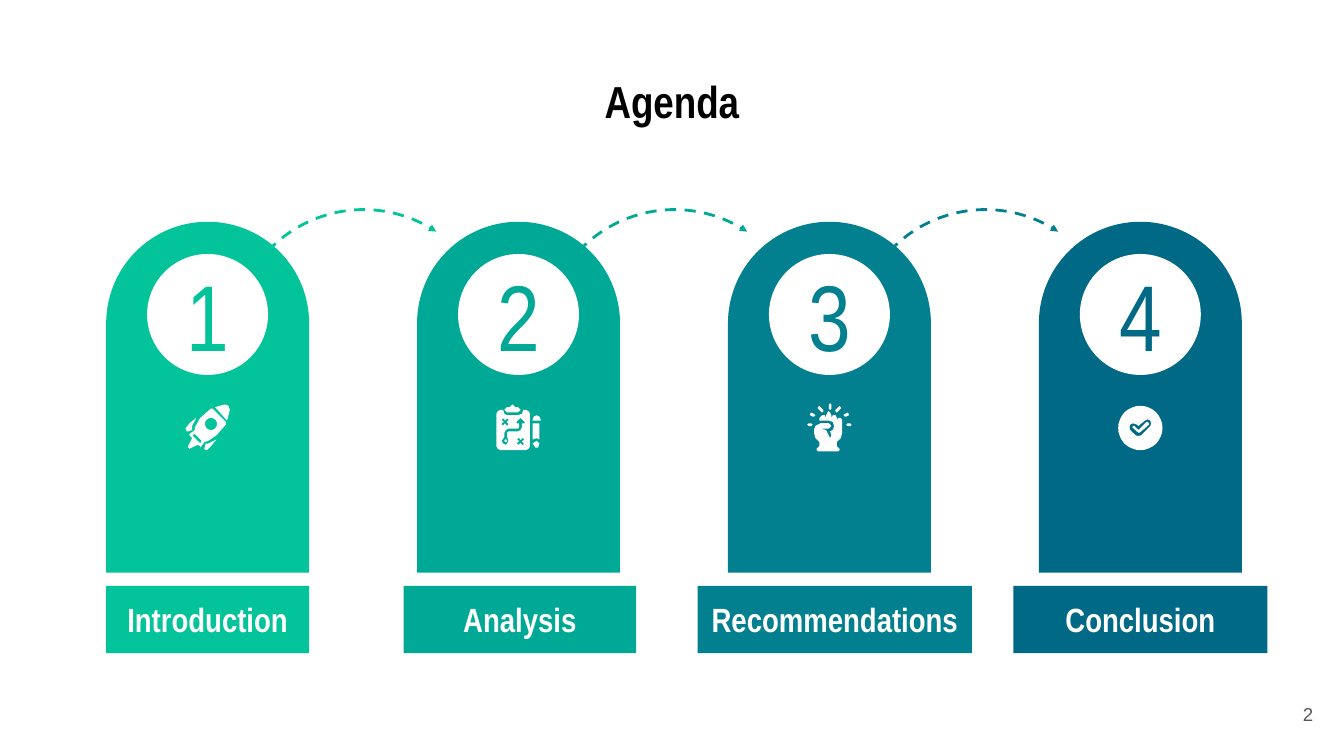
from math import cos, pi, sin

from lxml.etree import SubElement
from pptx import Presentation
from pptx.dml.color import RGBColor
from pptx.enum.dml import MSO_LINE
from pptx.enum.shapes import MSO_SHAPE as SHAPE
from pptx.enum.text import MSO_ANCHOR as ANCHOR, PP_ALIGN as ALIGN
from pptx.oxml.ns import qn
from pptx.util import Inches, Pt

COLORS = {
    "mint": "02C39A", "teal": "00A896", "sea": "028090", "navy": "006985",
    "white": "FFFFFF", "black": "000000", "gray": "595959",
}
SLIDE_W = 10
SLIDE_H = SLIDE_W * 9 / 16
PILLAR_LEFT, PILLAR_W, PILLAR_H = 0.79, 1.51, 2.61
PITCH = (7.73 - PILLAR_LEFT) / 3
TOP = 1.65


def ring(cx, cy, r, steps=32):
    """Points of a circle, in hundredths of an inch."""
    angles = [2 * pi * i / steps for i in range(steps)]
    return [(cx + r * cos(a), cy + r * sin(a)) for a in angles]


def cross(cx, cy):
    quarter = [(0, -1), (1.5, -2.5), (2.5, -2), (2.5, -1)]
    points = []
    for _ in range(4):
        points += [(cx + x, cy + y) for x, y in quarter]
        quarter = [(-y, x) for x, y in quarter]
    return points


def mirror(outline, width=33):
    return [(width - x, y) for x, y in outline]


SIDE_RAYS = [
    [(1, 15), (0, 16), (1, 17), (3, 17), (4, 16), (3, 15)],
    [(9, 2), (8, 3), (8, 4), (10, 6), (11, 7), (12, 6), (12, 5), (10, 3)],
    [(3, 7), (2, 8), (2, 9), (4, 10), (5, 10), (6, 9), (5, 8)],
]

# Each icon is a list of shapes; a shape is its outline followed by its holes.
ROCKET = [
    [[(30, 1), (29, 1), (22, 3), (31, 13), (33, 5), (32, 2)]],
    [[(23, 27), (17, 30), (15, 30), (14, 34), (15, 35), (16, 35), (19, 32)]],
    [[(20, 4), (19, 4), (11, 11), (7, 18), (7, 20), (3, 23), (3, 24), (5, 26),
      (2, 32), (2, 33), (3, 34), (9, 31), (11, 32), (11, 33), (12, 32), (14, 29),
      (17, 28), (23, 24), (30, 16), (30, 14)],
     ring(19, 15.5, 4.5),
     [(7, 23), (12, 28), (11, 30), (5, 24)]],
    [[(8, 11), (3, 15), (0, 19), (1, 21), (2, 21), (5, 20), (5, 17)]],
]
PLAN = [
    [[(3, 5), (1, 6), (0, 8), (0, 32), (1, 34), (3, 35), (22, 35), (24, 34),
      (25, 32), (25, 8), (24, 6), (22, 5), (20, 5), (19, 8), (16, 9), (8, 9),
      (6, 8), (5, 5)],
     cross(6.5, 14), cross(18, 28.5),
     [(18, 11), (21, 14), (21, 15), (19, 15), (19, 18), (18, 20), (16, 21),
      (9, 21), (8, 22), (8, 25), (9, 28), (8, 30), (7, 31), (5, 30), (4, 28),
      (6, 25), (6, 22), (7, 20), (9, 19), (16, 19), (17, 18), (17, 15),
      (15, 15), (15, 14)],
     ring(7, 28, 1)],
    [[(12, 1), (10, 3), (8, 3), (6, 5), (8, 7), (16, 7), (18, 5), (16, 3), (14, 3)]],
    [[(27, 15), (27, 27), (30, 26), (32, 27), (32, 15)]],
    [[(27, 13), (27, 12), (28, 10), (30, 9), (32, 10), (33, 12), (33, 13)]],
    [[(30, 28), (27, 30), (29, 33), (31, 33), (32, 30)]],
]
FIST = [
    [[(17, 0), (16, 1), (16, 4), (17, 5), (18, 4), (18, 1)]],
    *[[ray] for ray in SIDE_RAYS],
    *[[mirror(ray)] for ray in SIDE_RAYS],
    [[(16, 6), (15, 7), (14, 9), (14, 11), (13, 9), (11, 9), (9, 11), (9, 13),
      (16, 13), (19, 14), (20, 17), (19, 20), (17, 21), (18, 24), (17, 26),
      (16, 24), (14, 20), (10, 19), (16, 19), (18, 17), (16, 15), (10, 15),
      (6, 17), (5, 20), (5, 22), (6, 26), (9, 29), (9, 32), (7, 34), (7, 35),
      (8, 36), (23, 36), (24, 35), (24, 34), (22, 32), (22, 29), (25, 26),
      (26, 22), (26, 13), (25, 11), (23, 11), (22, 13), (22, 11), (21, 9),
      (19, 9), (18, 11), (18, 9), (17, 7)]],
]
CHECK = [
    [ring(16.5, 18.5, 16.5),
     [(22, 12), (24, 13), (24.5, 15), (24, 17), (17, 24), (15, 24.5), (13, 24),
      (9, 20), (8.5, 18), (9, 16), (11, 15), (14, 16), (15, 17), (20, 13)]],
    [[(22, 14), (21, 14), (16, 19), (15, 20), (12, 17), (11, 17), (10.5, 18),
      (15, 22), (16, 22), (23, 16), (23, 15)]],
]

# name, colour, icon, label width, label shift
STEPS = [
    ("Introduction", "mint", ROCKET, 1.51, 0),
    ("Analysis", "teal", PLAN, 1.73, 0.01),
    ("Recommendations", "sea", FIST, 2.04, 0.04),
    ("Conclusion", "navy", CHECK, 1.89, 0),
]


def rgb(name):
    return RGBColor.from_string(COLORS[name])


def fill_plain(sp, color):
    sp.shadow.inherit = False
    sp.fill.solid()
    sp.fill.fore_color.rgb = rgb(color)
    sp.line.fill.background()


def set_text(sp, text, size, color, bold=False, font="Arial Narrow",
             align=ALIGN.CENTER, anchor=ANCHOR.MIDDLE, wrap=True):
    tf = sp.text_frame
    tf.word_wrap = wrap
    tf.vertical_anchor = anchor
    tf.margin_left = tf.margin_right = tf.margin_top = tf.margin_bottom = Inches(0.1)
    tf.text = text
    p = tf.paragraphs[0]
    p.alignment = align
    f = p.runs[0].font
    f.name, f.size, f.bold = font, Pt(size), bold
    f.color.rgb = rgb(color)


def add_box(shapes, kind, x, y, w, h):
    return shapes.add_shape(kind, Inches(x), Inches(y), Inches(w), Inches(h))


def add_text(shapes, x, y, w, h, *args, **kwargs):
    set_text(shapes.add_textbox(Inches(x), Inches(y), Inches(w), Inches(h)),
             *args, **kwargs)


def add_arrow(shapes, x, y, size, color):
    """Dashed arc that leads to the next step."""
    sp = add_box(shapes, SHAPE.ARC, x, y, size, size)
    sp.adjustments[0], sp.adjustments[1] = 108, 182.239
    sp.shadow.inherit = False
    sp.fill.background()
    sp.line.color.rgb = rgb(color)
    sp.line.width = Pt(1.5)
    sp.line.dash_style = MSO_LINE.DASH
    SubElement(sp.line._get_or_add_ln(), qn("a:tailEnd"),
               type="triangle", w="sm", len="sm")


def add_icon(shapes, icon, x, y):
    for outlines in icon:
        scaled = [[(px * 10, py * 10) for px, py in line] for line in outlines]
        builder = shapes.build_freeform(*scaled[0][0], scale=Inches(0.001))
        for i, points in enumerate(scaled):
            if i:
                builder.move_to(*points[0])
            builder.add_line_segments(points[1:], close=True)
        fill_plain(builder.convert_to_shape(Inches(x), Inches(y)), "white")


def add_step(slide, x, y, number, name, color, icon, label_w, shift, has_next):
    shapes = slide.shapes.add_group_shape().shapes
    middle = x + PILLAR_W / 2
    if has_next:
        add_arrow(shapes, x + 0.94, y - 0.09, 1.95, color)

    pillar = add_box(shapes, SHAPE.ROUND_2_SAME_RECTANGLE, x, y, PILLAR_W, PILLAR_H)
    pillar.adjustments[0], pillar.adjustments[1] = 0.5, 0
    fill_plain(pillar, color)

    badge = add_box(shapes, SHAPE.OVAL, middle - 0.45, y + 0.24, 0.9, 0.9)
    fill_plain(badge, "white")
    set_text(badge, str(number), 50, color)

    label = add_box(shapes, SHAPE.RECTANGLE, middle - label_w / 2 + shift,
                    y + PILLAR_H + 0.1, label_w, 0.5)
    fill_plain(label, color)
    set_text(label, name, 18, "white", bold=True, wrap=False)

    add_icon(shapes, icon, x + 0.59, y + 1.35)


def main():
    prs = Presentation()
    prs.slide_width, prs.slide_height = Inches(SLIDE_W), Inches(SLIDE_H)
    slide = prs.slides.add_slide(prs.slide_layouts[6])
    add_text(slide.shapes, 0.5, 0.45, SLIDE_W - 1, 0.63, "Agenda", 24, "black",
             bold=True, anchor=ANCHOR.TOP)
    for i, step in enumerate(STEPS):
        add_step(slide, PILLAR_LEFT + i * PITCH, TOP, i + 1, *step,
                 has_next=i < len(STEPS) - 1)
    add_text(slide.shapes, 9.27, 5.1, 0.6, 0.43, "2", 10, "gray",
             font="Arial", align=ALIGN.RIGHT)
    prs.save("out.pptx")


if __name__ == "__main__":
    main()
